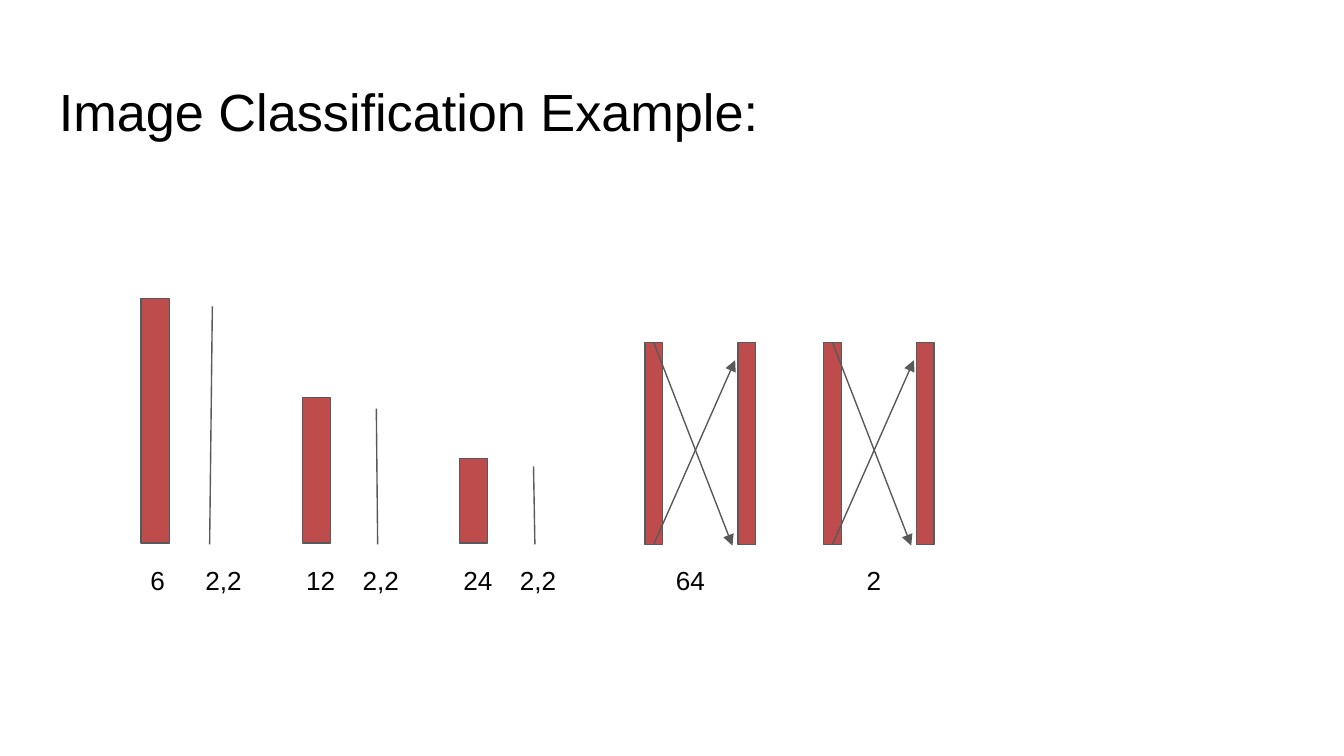
import pptx
import pptx.dml.color
import pptx.enum.shapes
import pptx.enum.text
import pptx.oxml
import pptx.oxml.ns
import pptx.util

Inches = pptx.util.Inches
Pt = pptx.util.Pt
RGBColor = pptx.dml.color.RGBColor

RED = RGBColor(0xBE, 0x4C, 0x4C)
GRAY = RGBColor(0x59, 0x59, 0x59)
BLACK = RGBColor(0, 0, 0)

SLIDE_WIDTH = 10
SLIDE_HEIGHT = SLIDE_WIDTH * 9 / 16
TITLE = "Image Classification Example:"
CONVOLUTIONS = [
    {"left": 1.05, "top": 2.22, "channels": "6", "label_left": 1.02, "label_width": 0.27,
     "label_height": 0.63, "pool": "2,2", "pool_top": (1.58, 2.28), "pool_foot": 1.56,
     "pool_label": 1.43},
    {"left": 2.25, "top": 2.96, "channels": "12", "label_left": 2.18, "label_width": 0.43,
     "label_height": 0.39, "pool": "2,2", "pool_top": (2.8, 3.04), "pool_foot": 2.81,
     "pool_label": 2.6},
    {"left": 3.42, "top": 3.41, "channels": "24", "label_left": 3.35, "label_width": 0.43,
     "label_height": 0.39, "pool": "2,2", "pool_top": (3.97, 3.47), "pool_foot": 3.98,
     "pool_label": 3.77},
]
DENSE_LAYERS = [
    {"left": 4.8, "units": "64", "label_left": 4.93},
    {"left": 6.13, "units": "2", "label_left": 6.35},
]

BASELINE = 4.04
LINE_FOOT = 4.05
LABEL_TOP, LABEL_HEIGHT = 4.1, 0.39
UNITS_LABEL_WIDTH, POOL_LABEL_WIDTH = 0.43, 0.54
CONVOLUTION_WIDTH = 0.21
DENSE_TOP, DENSE_WIDTH, DENSE_HEIGHT = 2.55, 0.13, 1.5
DENSE_GAP = 0.69
TOP_SITE, BOTTOM_SITE = 0, 2
ARROW_ENDS = [(BOTTOM_SITE, 0.67, 2.68), (TOP_SITE, 0.65, 4.06)]


def add_text(slide, text, left, top, width, height, size=14, color=BLACK):
    box = slide.shapes.add_textbox(Inches(left), Inches(top), Inches(width), Inches(height))
    frame = box.text_frame
    frame.word_wrap = True
    frame.vertical_anchor = pptx.enum.text.MSO_ANCHOR.TOP
    frame.margin_left = frame.margin_right = Inches(0.1)
    frame.margin_top = frame.margin_bottom = Inches(0.1)
    paragraph = frame.paragraphs[0]
    run = paragraph.add_run()
    run.text = text
    run.font.name = "Arial"
    run.font.size = Pt(size)
    run.font.color.rgb = color


def add_bar(slide, left, top, width, height):
    bar = slide.shapes.add_shape(
        pptx.enum.shapes.MSO_SHAPE.RECTANGLE,
        Inches(left), Inches(top), Inches(width), Inches(height))
    bar.shadow.inherit = False
    bar.fill.solid()
    bar.fill.fore_color.rgb = RED
    bar.line.color.rgb = GRAY
    bar.line.width = Pt(0.75)
    return bar


def add_line(slide, start, end, arrow=False):
    connector = slide.shapes.add_connector(
        pptx.enum.shapes.MSO_CONNECTOR.STRAIGHT, *map(Inches, (*start, *end)))
    connector.line.color.rgb = GRAY
    connector.line.width = Pt(0.75)
    namespace = pptx.oxml.ns.nsdecls("a")
    if arrow:
        tail = pptx.oxml.parse_xml(f'<a:tailEnd {namespace} type="triangle"/>')
        connector.get_or_add_ln().append(tail)
    connector._element.spPr.append(pptx.oxml.parse_xml(f"<a:effectLst {namespace}/>"))
    return connector


def add_convolution(slide, layer):
    add_bar(slide, layer["left"], layer["top"], CONVOLUTION_WIDTH, BASELINE - layer["top"])
    add_line(slide, layer["pool_top"], (layer["pool_foot"], LINE_FOOT))
    add_text(slide, layer["channels"], layer["label_left"], LABEL_TOP,
             layer["label_width"], layer["label_height"])
    add_text(slide, layer["pool"], layer["pool_label"], LABEL_TOP,
             POOL_LABEL_WIDTH, LABEL_HEIGHT)


def add_dense(slide, layer):
    left = layer["left"]
    source = add_bar(slide, left, DENSE_TOP, DENSE_WIDTH, DENSE_HEIGHT)
    for site, offset, end_y in ARROW_ENDS:
        arrow = add_line(slide, (left, DENSE_TOP), (left + offset, end_y), arrow=True)
        arrow.begin_connect(source, site)
    add_bar(slide, left + DENSE_GAP, DENSE_TOP, DENSE_WIDTH, DENSE_HEIGHT)
    add_text(slide, layer["units"], layer["label_left"], LABEL_TOP,
             UNITS_LABEL_WIDTH, LABEL_HEIGHT)


def main():
    presentation = pptx.Presentation()
    presentation.slide_width = Inches(SLIDE_WIDTH)
    presentation.slide_height = Inches(SLIDE_HEIGHT)
    slide = presentation.slides.add_slide(presentation.slide_layouts[6])
    add_text(slide, TITLE, 0.34, 0.49, 9.32, 0.63, size=28)
    for layer in CONVOLUTIONS:
        add_convolution(slide, layer)
    for layer in DENSE_LAYERS:
        add_dense(slide, layer)
    presentation.save("out.pptx")


if __name__ == "__main__":
    main()
